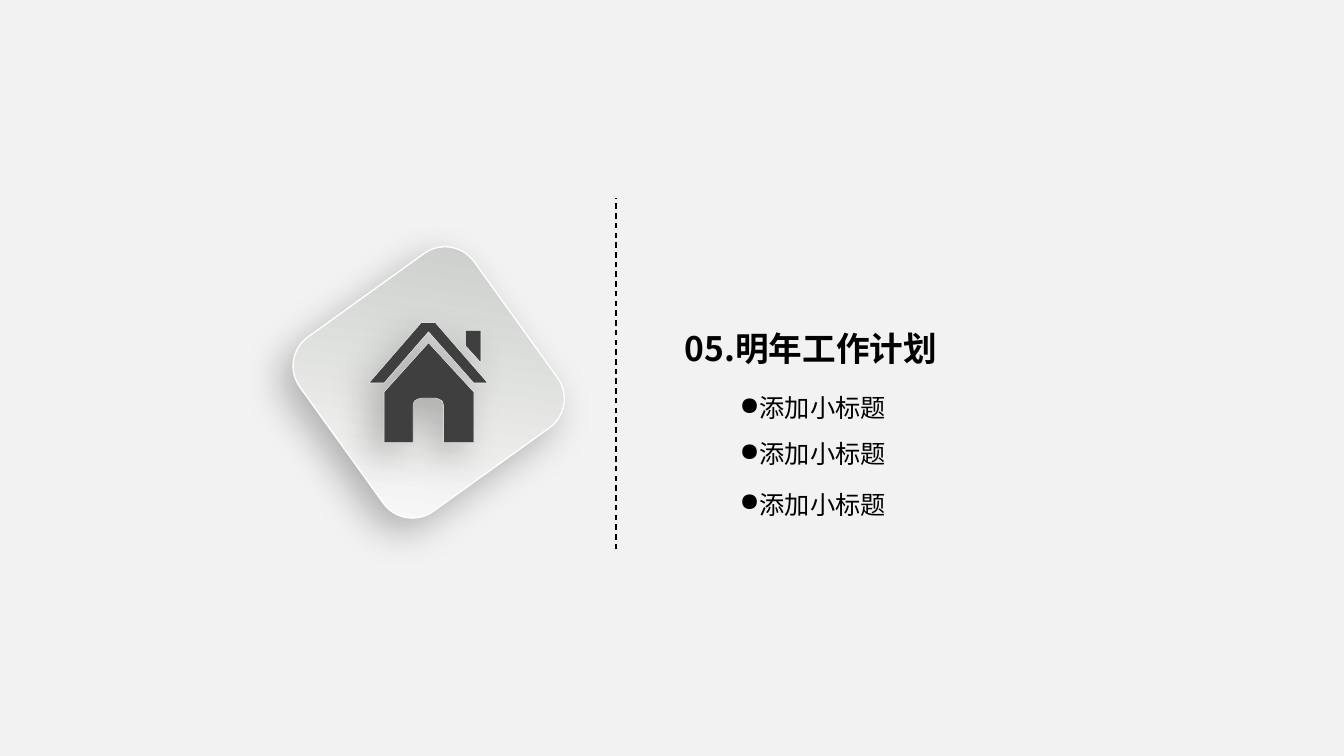
from dataclasses import dataclass

from lxml import etree
from pptx import Presentation
from pptx.dml.color import RGBColor
from pptx.enum.dml import MSO_LINE
from pptx.enum.shapes import MSO_CONNECTOR, MSO_SHAPE
from pptx.enum.text import MSO_ANCHOR, PP_ALIGN
from pptx.oxml import parse_xml
from pptx.oxml.ns import nsdecls, qn
from pptx.util import Cm, Pt

ROUNDED = MSO_SHAPE.ROUNDED_RECTANGLE
STRAIGHT = MSO_CONNECTOR.STRAIGHT
DASH = MSO_LINE.DASH
TOP = MSO_ANCHOR.TOP
LEFT, CENTER = PP_ALIGN.LEFT, PP_ALIGN.CENTER


@dataclass(frozen=True)
class Theme:
    """Colours, font and type sizes of the slide."""
    background: str = "F2F2F2"
    text: str = "000000"
    icon: str = "3F3F3F"
    edge: str = "FFFFFF"
    tile_dark: str = "C9CBC8"
    tile_light: str = "FCFCFC"
    font: str = "Noto Sans CJK SC"
    title_size: int = 24
    item_size: int = 18


THEME = Theme()

HOUSE_BODY = [
    (10.8, 8.64), (11.94, 9.88), (11.94, 11.15), (11.18, 11.15), (11.18, 10.21),
    (11.15, 10.11), (11.07, 10.06), (10.97, 10.03), (10.62, 10.03), (10.52, 10.06),
    (10.44, 10.11), (10.41, 10.21), (10.41, 11.15), (9.68, 11.15), (9.68, 9.88),
]
HOUSE_CHIMNEY = [(11.73, 8.33), (12.12, 8.33), (12.12, 9.14), (11.73, 8.71)]
HOUSE_ROOF = [
    (10.62, 8.13), (10.97, 8.13), (12.29, 9.65), (11.94, 9.65),
    (10.8, 8.36), (9.68, 9.65), (9.3, 9.65),
]
ITEMS = [("添加小标题", 9.88), ("添加小标题", 11.05), ("添加小标题", 12.32)]


def color(value):
    """Turn a hex value into a colour."""
    return RGBColor.from_string(value)


def set_edge(shape, width):
    """Give a shape its light outline."""
    shape.line.color.rgb = color(THEME.edge)
    shape.line.width = Pt(width)


def add_soft_shadow(shape):
    """Cast a soft shadow to the lower left."""
    shape.shadow.inherit = False
    effects = shape._element.spPr.find(qn("a:effectLst"))
    effects.append(parse_xml(
        f'<a:outerShdw {nsdecls("a")} blurRad="{Pt(27)}" dist="{Pt(12)}" '
        f'dir="8100000" algn="tr" rotWithShape="0"><a:srgbClr val="{THEME.text}">'
        '<a:alpha val="26000"/></a:srgbClr></a:outerShdw>'))


def add_tile(slide, left, top, side, rotation):
    """Add the tilted rounded tile with its gradient."""
    tile = slide.shapes.add_shape(ROUNDED, Cm(left), Cm(top), Cm(side), Cm(side))
    tile.rotation = rotation
    tile.fill.gradient()
    tile.fill.gradient_angle = 225
    for stop, value in zip(tile.fill.gradient_stops, (THEME.tile_dark, THEME.tile_light)):
        stop.color.rgb = color(value)
    set_edge(tile, 1)
    add_soft_shadow(tile)


def add_icon(slide, outlines):
    """Add one freeform made of several closed outlines."""
    contours = [[(Cm(x), Cm(y)) for x, y in outline] for outline in outlines]
    builder = slide.shapes.build_freeform(*contours[0][0])
    builder.add_line_segments(contours[0][1:], close=True)
    for contour in contours[1:]:
        builder.move_to(*contour[0])
        builder.add_line_segments(contour[1:], close=True)
    icon = builder.convert_to_shape()
    icon.fill.solid()
    icon.fill.fore_color.rgb = color(THEME.icon)
    set_edge(icon, 0.25)
    add_soft_shadow(icon)


def add_divider(slide, x, top, bottom):
    """Add the dashed vertical line."""
    divider = slide.shapes.add_connector(STRAIGHT, Cm(x), Cm(bottom), Cm(x), Cm(top))
    divider.line.color.rgb = color(THEME.text)
    divider.line.width = Pt(1)
    divider.line.dash_style = DASH
    etree.SubElement(divider._element.spPr, qn("a:effectLst"))


def add_text_box(slide, left, top, width, height):
    """Add a wrapping text box and return its frame."""
    frame = slide.shapes.add_textbox(Cm(left), Cm(top), Cm(width), Cm(height)).text_frame
    frame.word_wrap = True
    frame.vertical_anchor = TOP
    return frame


def add_run(paragraph, text, size, bold=False):
    """Add a run in the theme font."""
    run = paragraph.add_run()
    run.text = text
    run.font.size = Pt(size)
    run.font.bold = bold
    run.font.name = THEME.font
    run.font.color.rgb = color(THEME.text)
    east_asian = etree.SubElement(run._r.get_or_add_rPr(), qn("a:ea"))
    east_asian.set("typeface", THEME.font)


def add_title(slide, text):
    """Add the centred section title."""
    paragraph = add_text_box(slide, 13.54, 8.13, 13.79, 3.33).paragraphs[0]
    paragraph.alignment = CENTER
    add_run(paragraph, text, THEME.title_size, bold=True)


def add_item(slide, text, top):
    """Add one bulleted subtitle."""
    frame = add_text_box(slide, 18.64, top, 5.59, 0.76)
    frame.margin_left = frame.margin_right = frame.margin_top = frame.margin_bottom = 0
    paragraph = frame.paragraphs[0]
    paragraph.alignment = LEFT
    paragraph.level = 1
    properties = paragraph._p.get_or_add_pPr()
    properties.set("marL", str(Cm(0.48)))
    properties.set("indent", str(-Cm(0.48)))
    etree.SubElement(properties, qn("a:buChar")).set("char", "●")
    add_run(paragraph, text, THEME.item_size)


def main():
    """Build the section slide and save it."""
    presentation = Presentation()
    presentation.slide_width, presentation.slide_height = Cm(33.87), Cm(19.05)
    slide = presentation.slides.add_slide(presentation.slide_layouts[6])
    slide.background.fill.solid()
    slide.background.fill.fore_color.rgb = color(THEME.background)
    add_tile(slide, 8.1, 6.93, 5.41, 324.3)
    add_icon(slide, [HOUSE_BODY, HOUSE_CHIMNEY, HOUSE_ROOF])
    add_title(slide, "05.明年工作计划")
    add_divider(slide, 15.52, 4.98, 13.84)
    for text, top in ITEMS:
        add_item(slide, text, top)
    presentation.save("out.pptx")


if __name__ == "__main__":
    main()
